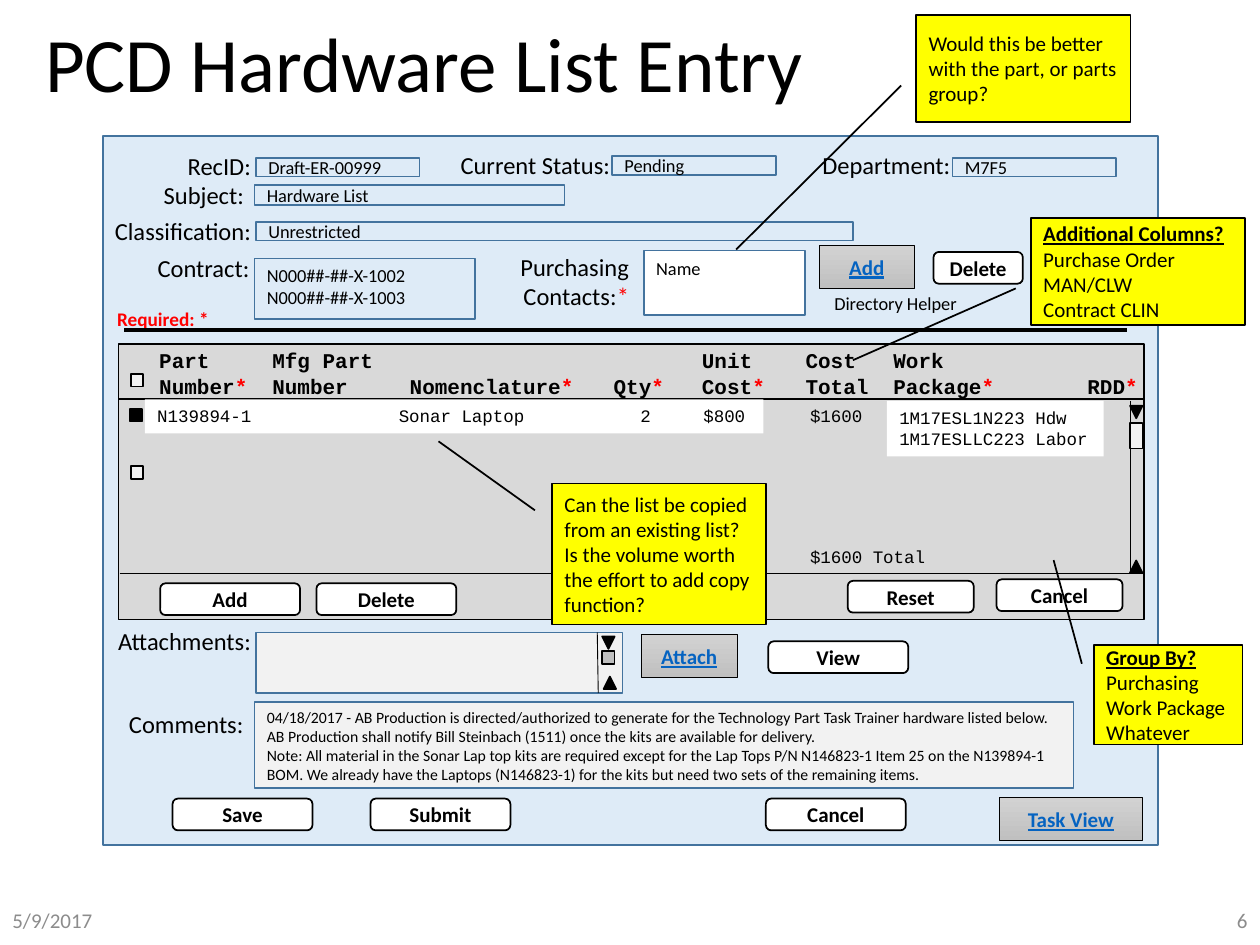
from dataclasses import dataclass

from lxml import etree
from pptx import Presentation
from pptx.dml.color import RGBColor
from pptx.enum.shapes import MSO_CONNECTOR, MSO_SHAPE as Preset
from pptx.enum.text import MSO_ANCHOR as Anchor, PP_ALIGN as Align
from pptx.oxml.ns import qn
from pptx.util import Cm, Pt

BLACK = RGBColor(0x00, 0x00, 0x00)
WHITE = RGBColor(0xFF, 0xFF, 0xFF)
RED = RGBColor(0xFF, 0x00, 0x00)
YELLOW = RGBColor(0xFF, 0xFF, 0x00)
PALE_BLUE = RGBColor(0xDE, 0xEB, 0xF7)
STEEL_BLUE = RGBColor(0x43, 0x73, 0x9E)
LINK_BLUE = RGBColor(0x05, 0x63, 0xC1)
PALE_GREY = RGBColor(0xF2, 0xF2, 0xF2)
GRID_GREY = RGBColor(0xD9, 0xD9, 0xD9)
THUMB_GREY = RGBColor(0xBF, 0xBF, 0xBF)
LINK_TOP = RGBColor(0xD2, 0xD2, 0xD2)
LINK_BOTTOM = RGBColor(0xC0, 0xC0, 0xC0)
FOOTER_GREY = RGBColor(0x8C, 0x8C, 0x8C)
MONO = "Courier New"
MARK = 0.25


@dataclass(frozen=True)
class Box:
    """Left, top, width and height in centimetres."""
    left: float
    top: float
    width: float
    height: float

    def lengths(self):
        return Cm(self.left), Cm(self.top), Cm(self.width), Cm(self.height)


@dataclass(frozen=True)
class Field:
    text: str
    box: Box
    fill: RGBColor = PALE_BLUE
    anchor: Anchor = Anchor.MIDDLE
    size: float = 10.5


@dataclass(frozen=True)
class Callout:
    text: str
    box: Box
    leader: tuple
    heading: bool = False


COMMENTS = (
    "04/18/2017 - AB Production is directed/authorized to generate for the Technology Part Task "
    "Trainer hardware listed below. AB Production shall notify Bill Steinbach (1511) once the kits "
    "are available for delivery.\n"
    "Note: All material in the Sonar Lap top kits are required except for the Lap Tops P/N "
    "N146823-1 Item 25 on the N139894-1 BOM. We already have the Laptops (N146823-1) for the kits "
    "but need two sets of the remaining items."
)
# text, right edge, top, width, height
LABELS = [
    ("RecID:", 5.31, 2.92, 2.03, 0.86),
    ("Subject:", 5.17, 3.51, 2.24, 0.86),
    ("Classification:", 5.31, 4.24, 3.5, 0.86),
    ("Contract:", 5.28, 4.98, 2.36, 0.86),
    ("Current Status:", 12.55, 2.9, 3.7, 0.86),
    ("Department:", 19.41, 2.9, 3.3, 0.86),
    ("Purchasing Contacts:*", 12.93, 4.95, 2.87, 1.45),
    ("Attachments:", 5.31, 12.5, 3.23, 0.86),
    ("Comments:", 5.16, 14.17, 3.07, 0.86),
]
FIELDS = [
    Field("Draft-ER-00999", Box(5.16, 3.18, 3.3, 0.38)),
    Field("Hardware List", Box(5.13, 3.73, 6.25, 0.41)),
    Field("Unrestricted", Box(5.16, 4.47, 12.04, 0.38)),
    Field("N000##-##-X-1002\nN000##-##-X-1003", Box(5.13, 5.21, 4.44, 1.22), anchor=Anchor.TOP),
    Field("Pending", Box(12.34, 3.15, 3.3, 0.38)),
    Field("M7F5", Box(19.2, 3.18, 3.3, 0.38)),
    Field("Name", Box(12.98, 5.05, 3.25, 1.3), WHITE, Anchor.TOP),
    Field("", Box(5.16, 12.75, 7.39, 1.22), PALE_GREY),
    Field(COMMENTS, Box(5.13, 14.15, 16.51, 1.73), PALE_GREY, Anchor.TOP, 9),
]
# text, left, top, width
BUTTONS = [
    ("Delete", 18.82, 5.08, 1.8),
    ("Add", 3.23, 11.76, 2.82), ("Delete", 6.38, 11.76, 2.82),
    ("Reset", 17.09, 11.71, 2.54), ("Cancel", 20.09, 11.68, 2.54),
    ("View", 15.49, 12.93, 2.82),
    ("Save", 3.48, 16.1, 2.82), ("Submit", 7.47, 16.1, 2.82), ("Cancel", 15.44, 16.1, 2.82),
]
LINKS = [("Add", 16.51, 4.95, 1.93), ("Attach", 12.93, 12.8, 1.93), ("Task View", 20.14, 16.08, 2.9)]
# text, left, width
HEADERS = [
    ("Part\nNumber*", 3.18, 1.85), ("Mfg Part\nNumber", 5.46, 2.11), ("Nomenclature*", 8.23, 3.4),
    ("Qty*", 12.34, 1.09), ("Unit\nCost*", 14.12, 1.35), ("Cost\nTotal", 16.21, 1.35),
    ("Work\nPackage*", 17.98, 2.11), ("RDD*", 21.89, 1.09),
]
# x1, y1, x2, y2, points
RULES = [
    (2.51, 6.65, 22.71, 6.65, 2.25),
    (2.39, 8.05, 23.06, 8.05, 1), (2.41, 11.56, 23.06, 11.56, 1),
    (22.78, 8.08, 22.78, 11.56, 0.5), (12.04, 12.75, 12.06, 13.97, 0.5),
]
# preset, left, top, height, fill, rotation
MARKS = [
    (Preset.ISOSCELES_TRIANGLE, 12.17, 13.64, MARK, BLACK, 0),
    (Preset.ISOSCELES_TRIANGLE, 12.14, 12.83, MARK, BLACK, 180),
    (Preset.FLOWCHART_PROCESS, 12.14, 13.13, MARK, THUMB_GREY, 0),
    (Preset.ISOSCELES_TRIANGLE, 22.78, 11.3, MARK, BLACK, 0),
    (Preset.ISOSCELES_TRIANGLE, 22.78, 8.18, MARK, BLACK, 180),
    (Preset.FLOWCHART_PROCESS, 22.78, 8.53, 0.51, PALE_GREY, 0),
    (Preset.FLOWCHART_PROCESS, 2.64, 7.54, MARK, PALE_GREY, 0),
    (Preset.FLOWCHART_PROCESS, 2.62, 8.25, MARK, BLACK, 0),
    (Preset.FLOWCHART_PROCESS, 2.64, 9.4, MARK, PALE_GREY, 0),
]
CALLOUTS = [
    Callout("Additional Columns?\nPurchase Order\nMAN/CLW\nContract CLIN",
            Box(20.78, 4.39, 4.32, 2.16), (0.66, -0.07, 1.33, -0.83), True),
    Callout("Group By?\nPurchasing\nWork Package\nWhatever",
            Box(22.05, 13, 3, 2.01), (0.19, -0.08, -0.85, -0.27), True),
    Callout("Would this be better with the part, or parts group?",
            Box(18.47, 0.3, 4.32, 2.16), (0.66, -0.07, 2.19, -0.84)),
    Callout("Can the list be copied from an existing list?\n"
            "Is the volume worth the effort to add copy function?",
            Box(11.13, 9.75, 4.32, 2.84), (0.19, -0.08, -0.3, -0.53)),
]


def write(shape, text: str, *, size=12, font="Calibri", color=BLACK, bold=False, underline=False,
          heading=False, align=Align.LEFT, anchor=Anchor.TOP, inset=None, wrap=True, spacing=None):
    """Write one paragraph per line; asterisks turn red, a heading is bold and underlined."""
    frame = shape.text_frame
    frame.word_wrap, frame.vertical_anchor = wrap, anchor
    if inset is not None:
        frame.margin_left = frame.margin_right = frame.margin_top = frame.margin_bottom = Cm(inset)
    for row, line in enumerate(text.split("\n")):
        paragraph = frame.add_paragraph() if row else frame.paragraphs[0]
        paragraph.alignment = align
        if spacing:
            paragraph.line_spacing = spacing
        is_heading = heading and row == 0
        body, star, _ = line.partition("*")
        for part, tint in ((body, color), (star, RED)):
            if part:
                run = paragraph.add_run()
                run.text = part
                run.font.name, run.font.size = font, Pt(size)
                run.font.bold, run.font.underline = bold or is_heading, underline or is_heading
                run.font.color.rgb = tint
    return frame


def add_text(slide, text: str, box: Box, **style):
    return write(slide.shapes.add_textbox(*box.lengths()), text, **style)


def add_box(slide, preset: Preset, box: Box, fill: RGBColor, line=BLACK, weight: float = 1):
    shape = slide.shapes.add_shape(preset, *box.lengths())
    shape.shadow.inherit = False
    shape.fill.solid()
    shape.fill.fore_color.rgb = fill
    if line is None:
        shape.line.fill.background()
    else:
        shape.line.color.rgb, shape.line.width = line, Pt(weight)
    return shape


def add_rule(slide, x1: float, y1: float, x2: float, y2: float, weight: float):
    rule = slide.shapes.add_connector(MSO_CONNECTOR.STRAIGHT, Cm(x1), Cm(y1), Cm(x2), Cm(y2))
    rule.line.color.rgb, rule.line.width = BLACK, Pt(weight)
    etree.SubElement(rule._element.spPr, qn("a:effectLst"))


def add_link(slide, text: str, box: Box):
    link = add_box(slide, Preset.ACTION_BUTTON_CUSTOM, box, LINK_TOP, weight=0.5)
    link.fill.gradient()
    link.fill.gradient_angle = 270
    for stop, tint in zip(link.fill.gradient_stops, (LINK_TOP, LINK_BOTTOM)):
        stop.color.rgb = tint
    write(link, text, color=LINK_BLUE, bold=True, underline=True,
          align=Align.CENTER, anchor=Anchor.MIDDLE)


def add_grid_rows(slide):
    part_row = add_box(slide, Preset.RECTANGLE, Box(2.92, 8.05, 12.47, 0.69), WHITE, None)
    frame = write(part_row, "N139894-1\tSonar Laptop\t2\t$800", size=10, font=MONO)
    tabs = etree.SubElement(frame.paragraphs[0]._p.get_or_add_pPr(), qn("a:tabLst"))
    for position in (4.87, 9.74, 11.01):
        etree.SubElement(tabs, qn("a:tab"), pos=str(Cm(position)), algn="l")
    packages = add_box(slide, Preset.RECTANGLE, Box(17.88, 8.08, 4.37, 1.12), WHITE, None)
    write(packages, "1M17ESL1N223 Hdw\n1M17ESLLC223 Labor", size=10, font=MONO)
    costs = add_text(slide, "$1600\n$1600 Total", Box(16.08, 8.05, 2.87, 3.68), size=10, font=MONO)
    costs.paragraphs[1].space_before = Pt(68)


def main():
    deck = Presentation()
    deck.slide_width, deck.slide_height = Cm(25.4), Cm(19.05)
    slide = deck.slides.add_slide(deck.slide_layouts[6])

    add_text(slide, "PCD Hardware List Entry", Box(0.66, 0.25, 21.89, 2.21),
             size=44, anchor=Anchor.MIDDLE, spacing=0.9)
    for text, left, align in (("5/9/2017", 0, Align.LEFT), ("6", 19.68, Align.RIGHT)):
        add_text(slide, text, Box(left, 18.03, 5.72, 1.02), color=FOOTER_GREY,
                 align=align, anchor=Anchor.MIDDLE)

    add_box(slide, Preset.RECTANGLE, Box(2.08, 2.74, 21.26, 14.3), PALE_BLUE, STEEL_BLUE)
    for text, right, top, width, height in LABELS:
        add_text(slide, text, Box(right - width, top, width, height), size=14, align=Align.RIGHT)
    for field in FIELDS:
        shape = add_box(slide, Preset.RECTANGLE, field.box, field.fill, STEEL_BLUE)
        if field.text:
            write(shape, field.text, size=field.size, anchor=field.anchor)
    add_text(slide, "Required: *", Box(2.11, 6.07, 2.92, 0.74), size=11, color=RED, bold=True)
    add_text(slide, "Directory Helper", Box(16.43, 5.77, 3.25, 0.69), size=10.5, align=Align.CENTER)

    add_box(slide, Preset.FLOWCHART_PROCESS, Box(2.39, 6.93, 20.68, 5.56), GRID_GREY)
    for rule in RULES:
        add_rule(slide, *rule)
    for text, left, width in HEADERS:
        add_text(slide, text, Box(left, 7.04, width, 1.02), font=MONO, bold=True,
                 anchor=Anchor.BOTTOM, inset=0.03, wrap=False)
    add_grid_rows(slide)
    for preset, left, top, height, fill, rotation in MARKS:
        add_box(slide, preset, Box(left, top, MARK, height), fill).rotation = rotation

    for text, left, top, width in BUTTONS:
        button = add_box(slide, Preset.ROUNDED_RECTANGLE, Box(left, top, width, 0.64), WHITE)
        write(button, text, bold=True, align=Align.CENTER, anchor=Anchor.MIDDLE)
    for text, left, top, width in LINKS:
        add_link(slide, text, Box(left, top, width, 0.86))
    for callout in CALLOUTS:
        note = add_box(slide, Preset.LINE_CALLOUT_1, callout.box, YELLOW)
        for index, value in enumerate(callout.leader):
            note.adjustments[index] = value
        write(note, callout.text, heading=callout.heading, anchor=Anchor.MIDDLE)

    deck.save("out.pptx")


if __name__ == "__main__":
    main()
